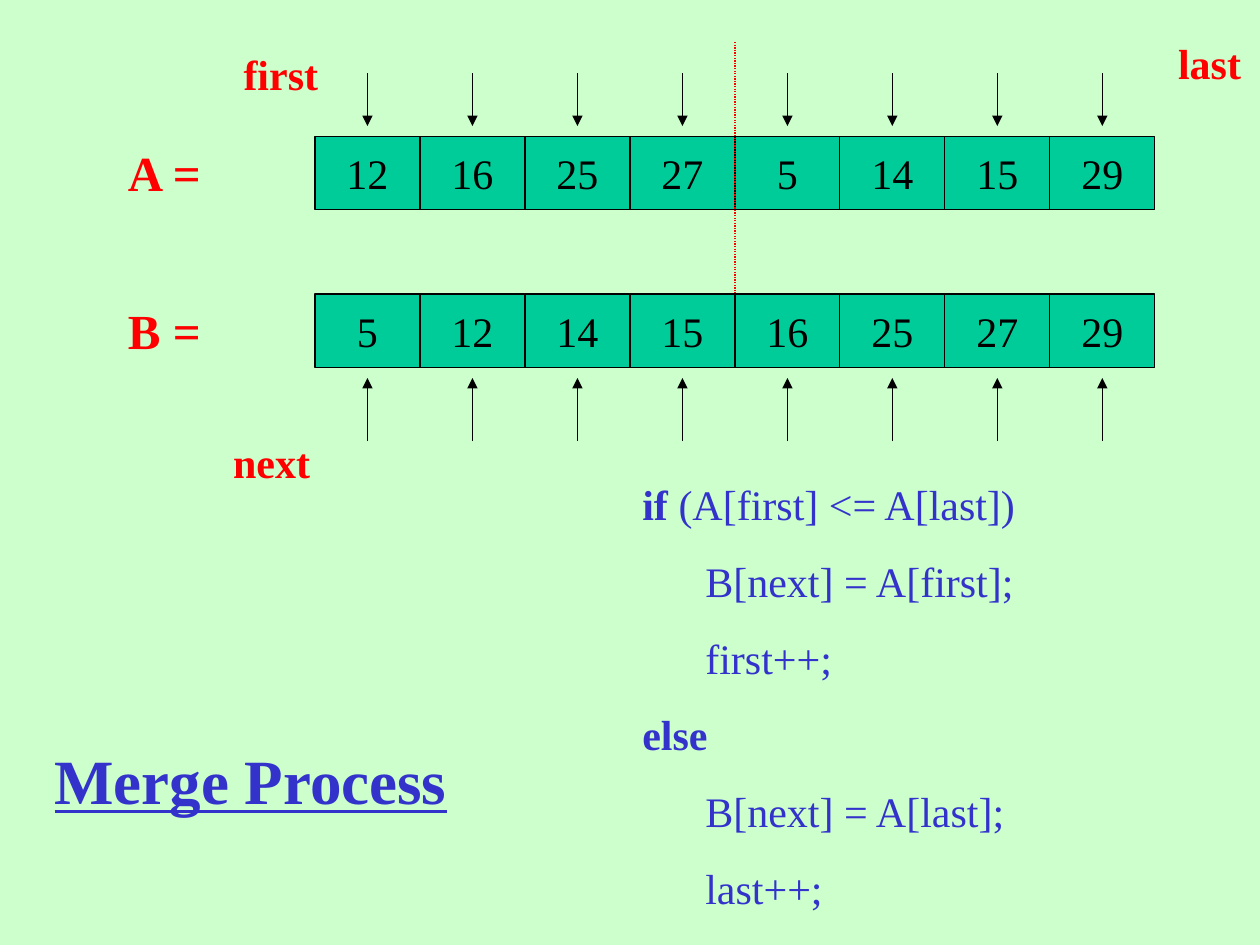
from pptx import Presentation
from pptx.dml.color import RGBColor
from pptx.enum.dml import MSO_LINE
from pptx.enum.shapes import MSO_CONNECTOR, MSO_SHAPE
from pptx.enum.text import MSO_ANCHOR, MSO_AUTO_SIZE, PP_ALIGN
from pptx.oxml.ns import qn
from pptx.util import Cm, Pt
from lxml import etree

STRAIGHT = MSO_CONNECTOR.STRAIGHT
RECTANGLE = MSO_SHAPE.RECTANGLE
DOTTED = MSO_LINE.ROUND_DOT
MIDDLE = MSO_ANCHOR.MIDDLE
GROW = MSO_AUTO_SIZE.SHAPE_TO_FIT_TEXT
LEFT, CENTER = PP_ALIGN.LEFT, PP_ALIGN.CENTER

FONT = "Times New Roman"
COLORS = {
    "background": "CCFFCC",
    "cell": "00CC99",
    "ink": "000000",
    "label": "FF0000",
    "code": "3333CC",
}

ROW_LEFT = 6.35
CELL_WIDTH = 16.93 / 8
CELL_HEIGHT = 1.48
A_TOP, B_TOP = 2.75, 5.93

A_VALUES = [12, 16, 25, 27, 5, 14, 15, 29]
B_VALUES = sorted(A_VALUES)
MERGE_CODE = [
    [("if ", True), ("(A[first] <= A[last])", False)],
    [("\tB[next] = A[first];", False)],
    [("\tfirst++;", False)],
    [("else", True)],
    [("\tB[next] = A[last];", False)],
    [("\tlast++;", False)],
]


def color(name):
    return RGBColor.from_string(COLORS[name])


def write(frame, paragraphs, size=24, ink="ink", align=LEFT, space_before=0, underline=False):
    for index, runs in enumerate(paragraphs):
        paragraph = frame.add_paragraph() if index else frame.paragraphs[0]
        paragraph.alignment = align
        if index:
            paragraph.space_before = Pt(space_before)
        for text, bold in runs:
            run = paragraph.add_run()
            run.text = text
            run.font.name = FONT
            run.font.size = Pt(size)
            run.font.bold = bold
            run.font.underline = underline
            run.font.color.rgb = color(ink)


def add_text(slide, left, top, width, height, paragraphs, **style):
    frame = slide.shapes.add_textbox(Cm(left), Cm(top), Cm(width), Cm(height)).text_frame
    frame.word_wrap = True
    frame.auto_size = GROW
    write(frame, paragraphs, **style)


def add_array(slide, top, values):
    for index, value in enumerate(values):
        cell = slide.shapes.add_shape(
            RECTANGLE, Cm(ROW_LEFT + index * CELL_WIDTH), Cm(top), Cm(CELL_WIDTH), Cm(CELL_HEIGHT))
        cell.shadow.inherit = False
        cell.fill.solid()
        cell.fill.fore_color.rgb = color("cell")
        cell.line.color.rgb = color("ink")
        cell.line.width = Pt(0.75)
        cell.text_frame.word_wrap = False
        cell.text_frame.vertical_anchor = MIDDLE
        write(cell.text_frame, [[(str(value), False)]], align=CENTER)


def add_line(slide, x, start, end, ink="ink"):
    line = slide.shapes.add_connector(STRAIGHT, Cm(x), Cm(start), Cm(x), Cm(end))
    line.line.color.rgb = color(ink)
    line.line.width = Pt(0.75)
    etree.SubElement(line._element.spPr, qn("a:effectLst"))
    return line


def add_pointers(slide, start, end):
    for index in range(len(A_VALUES)):
        pointer = add_line(slide, ROW_LEFT + (index + 0.5) * CELL_WIDTH, start, end)
        etree.SubElement(pointer.line._get_or_add_ln(), qn("a:tailEnd"), type="triangle")


def main():
    presentation = Presentation()
    presentation.slide_width, presentation.slide_height = Cm(25.4), Cm(19.05)
    slide = presentation.slides.add_slide(presentation.slide_layouts[6])
    slide.background.fill.solid()
    slide.background.fill.fore_color.rgb = color("background")

    add_array(slide, A_TOP, A_VALUES)
    divider = add_line(slide, ROW_LEFT + len(A_VALUES) / 2 * CELL_WIDTH, 0.85, 6.14, ink="label")
    divider.line.dash_style = DOTTED
    add_array(slide, B_TOP, B_VALUES)
    add_pointers(slide, 1.48, 2.54)
    add_pointers(slide, 8.89, 7.62)

    for label, left, top, width, height, size in [
        ("A =", 2.33, A_TOP, 2.54, 1.45, 28),
        ("B =", 2.33, B_TOP, 2.54, 1.45, 28),
        ("first", 4.66, 0.85, 2.75, 1.27, 24),
        ("last", 23.5, 0.64, 1.9, 1.27, 24),
        ("next", 4.45, 8.68, 2.54, 1.27, 24),
    ]:
        add_text(slide, left, top, width, height, [[(label, True)]], size=size, ink="label")

    add_text(slide, 12.7, 9.53, 10.16, 9, MERGE_CODE, ink="code", space_before=15)
    add_text(slide, 0.85, 14.82, 9.74, 1.78, [[("Merge Process", True)]],
             size=36, ink="code", underline=True)
    presentation.save("out.pptx")


if __name__ == "__main__":
    main()
